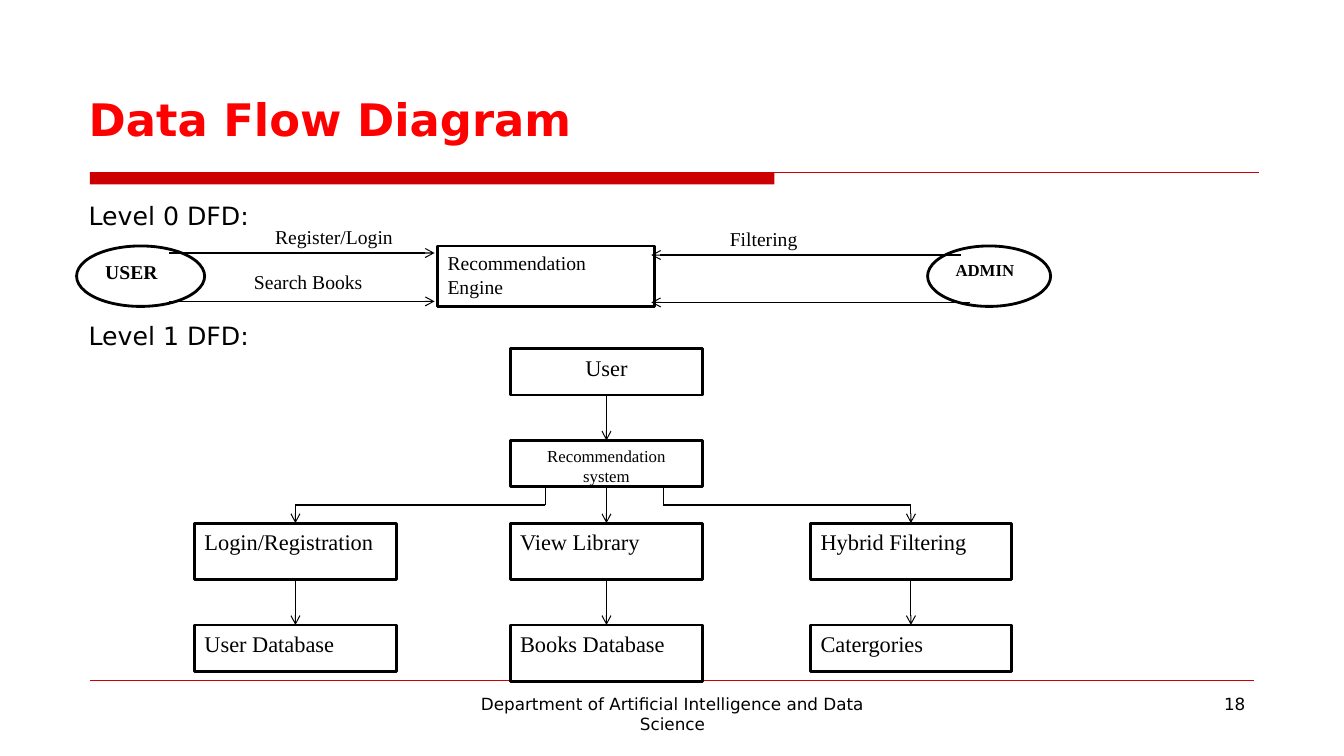
from pptx import Presentation
from pptx.dml.color import RGBColor
from pptx.enum.shapes import MSO_CONNECTOR, MSO_SHAPE
from pptx.enum.text import MSO_ANCHOR, MSO_AUTO_SIZE, PP_ALIGN
from pptx.oxml.ns import qn
from pptx.util import Inches, Pt
from lxml.etree import SubElement

BLACK = RGBColor(0x00, 0x00, 0x00)
WHITE = RGBColor(0xFF, 0xFF, 0xFF)
RED = RGBColor(0xFF, 0x00, 0x00)
DARK_RED = RGBColor(0xCC, 0x00, 0x00)
SANS = "DejaVu Sans"
SERIF = "Times New Roman"

# Grid tracks in inches: columns are (left, width), rows are (top, height)
COLUMNS = {
    "text": (0.78, 11.67),
    "footer": (4.56, 4.22),
    "number": (9.56, 2.89),
    "user": (0.76, 1.27),
    "engine": (4.34, 2.15),
    "admin": (9.2, 1.22),
    "left": (1.93, 2.0),
    "middle": (5.06, 1.91),
    "right": (8.04, 1.99),
}
ROWS = {
    "title": (0.97, 0.52),
    "footer": (6.83, 0.52),
    "level 0": (2.44, 0.6),
    "user": (3.46, 0.46),
    "system": (4.37, 0.46),
    "feature": (5.19, 0.56),
    "store": (6.2, 0.46),
    "tall store": (6.2, 0.56),
}
BRANCH_Y = 5.01


def center(column):
    left, width = COLUMNS[column]
    return left + width / 2


def bottom(row):
    top, height = ROWS[row]
    return top + height


def cell(column, row):
    (left, width), (top, height) = COLUMNS[column], ROWS[row]
    return [Inches(value) for value in (left, top, width, height)]


def write(frame, text, size, font, color=BLACK, bold=False, align=PP_ALIGN.LEFT):
    frame.text = text
    for paragraph in frame.paragraphs:
        paragraph.alignment = align
        paragraph.font.size = Pt(size)
        paragraph.font.name = font
        paragraph.font.bold = bold
        paragraph.font.color.rgb = color


def add_node(page, kind, column, row, text, size=16, **style):
    node = page.shapes.add_shape(kind, *cell(column, row))
    node.shadow.inherit = False
    node.fill.solid()
    node.fill.fore_color.rgb = WHITE
    node.line.color.rgb = BLACK
    node.line.width = Pt(2)
    node.text_frame.vertical_anchor = MSO_ANCHOR.TOP
    write(node.text_frame, text, size, SERIF, **style)


def add_line(page, start, end, arrow=False, color=BLACK, width=0.75):
    points = [Inches(value) for value in (*start, *end)]
    line = page.shapes.add_connector(MSO_CONNECTOR.STRAIGHT, *points)
    line.line.color.rgb = color
    line.line.width = Pt(width)
    properties = line._element.spPr
    if arrow:
        SubElement(properties.find(qn("a:ln")), qn("a:tailEnd"), type="arrow")
    SubElement(properties, qn("a:effectLst"))


def add_label(page, left, top, width, height, text, size, font):
    box = page.shapes.add_textbox(*map(Inches, (left, top, width, height)))
    box.text_frame.word_wrap = False
    box.text_frame.auto_size = MSO_AUTO_SIZE.SHAPE_TO_FIT_TEXT
    write(box.text_frame, text, size, font)


def add_footer(page, column, text, align):
    box = page.shapes.add_textbox(*cell(column, "footer"))
    box.text_frame.word_wrap = True
    write(box.text_frame, text, 12, SANS, align=align)


def add_frame(page):
    # Title
    title = page.shapes.title
    title.left, title.top, title.width, title.height = cell("text", "title")
    title.text_frame.vertical_anchor = MSO_ANCHOR.BOTTOM
    title.text_frame.auto_size = MSO_AUTO_SIZE.NONE
    write(title.text_frame, "Data Flow Diagram", 32, SANS, RED, bold=True)

    # Rules under the title and above the footer
    bar = page.shapes.add_shape(
        MSO_SHAPE.RECTANGLE, *map(Inches, (0.89, 1.71, 6.79, 0.12)))
    bar.shadow.inherit = False
    bar.fill.solid()
    bar.fill.fore_color.rgb = DARK_RED
    bar.line.fill.background()
    add_line(page, (0.89, 1.71), (12.49, 1.71), color=DARK_RED)
    add_line(page, (0.89, 6.75), (12.44, 6.75), color=DARK_RED, width=0.25)

    # Footer
    add_footer(page, "footer",
               "Department of Artificial Intelligence and Data Science",
               PP_ALIGN.CENTER)
    add_footer(page, "number", "18", PP_ALIGN.RIGHT)


def add_level_0(page):
    add_label(page, 0.78, 1.94, 1.92, 0.4, "Level 0 DFD:", 18, SANS)
    add_node(page, MSO_SHAPE.OVAL, "user", "level 0", "USER", 14, bold=True)
    add_node(page, MSO_SHAPE.OVAL, "admin", "level 0", "ADMIN", 12, bold=True)
    add_node(page, MSO_SHAPE.RECTANGLE, "engine", "level 0",
             "Recommendation\vEngine", 14)
    for start_x, end_x, y in ((1.68, 4.31, 2.51), (1.68, 4.31, 2.99),
                              (9.53, 6.46, 2.53), (9.62, 6.46, 3.0)):
        add_line(page, (start_x, y), (end_x, y), arrow=True)
    for left, top, width, text in ((2.63, 2.18, 1.38, "Register/Login"),
                                   (2.42, 2.63, 1.32, "Search Books"),
                                   (7.14, 2.2, 0.87, "Filtering")):
        add_label(page, left, top, width, 0.34, text, 14, SERIF)


def add_level_1(page):
    add_label(page, 0.78, 3.13, 1.85, 0.4, "Level 1 DFD:", 18, SANS)
    add_node(page, MSO_SHAPE.RECTANGLE, "middle", "user", "User",
             align=PP_ALIGN.CENTER)
    add_node(page, MSO_SHAPE.RECTANGLE, "middle", "system",
             "Recommendation\nsystem", 12, align=PP_ALIGN.CENTER)

    # Features and the stores below them
    for column, feature, store, store_row in (
            ("left", "Login/Registration", "User Database", "store"),
            ("middle", "View Library", "Books Database", "tall store"),
            ("right", "Hybrid Filtering", "Catergories", "store")):
        add_node(page, MSO_SHAPE.RECTANGLE, column, "feature", feature)
        add_node(page, MSO_SHAPE.RECTANGLE, column, store_row, store)
        x = center(column)
        add_line(page, (x, bottom("feature")), (x, ROWS["store"][0]), arrow=True)

    # Straight flow down the middle
    x = center("middle")
    for upper, lower in (("user", "system"), ("system", "feature")):
        add_line(page, (x, bottom(upper)), (x, ROWS[lower][0]), arrow=True)

    # Side branches
    for exit_x, column in ((5.41, "left"), (6.58, "right")):
        x = center(column)
        add_line(page, (exit_x, bottom("system")), (exit_x, BRANCH_Y))
        add_line(page, (exit_x, BRANCH_Y), (x, BRANCH_Y))
        add_line(page, (x, BRANCH_Y), (x, ROWS["feature"][0]), arrow=True)


def main():
    deck = Presentation()
    deck.slide_width, deck.slide_height = Inches(13.33), Inches(7.5)
    page = deck.slides.add_slide(deck.slide_layouts[5])
    add_frame(page)
    add_level_0(page)
    add_level_1(page)
    deck.save("out.pptx")


if __name__ == "__main__":
    main()
